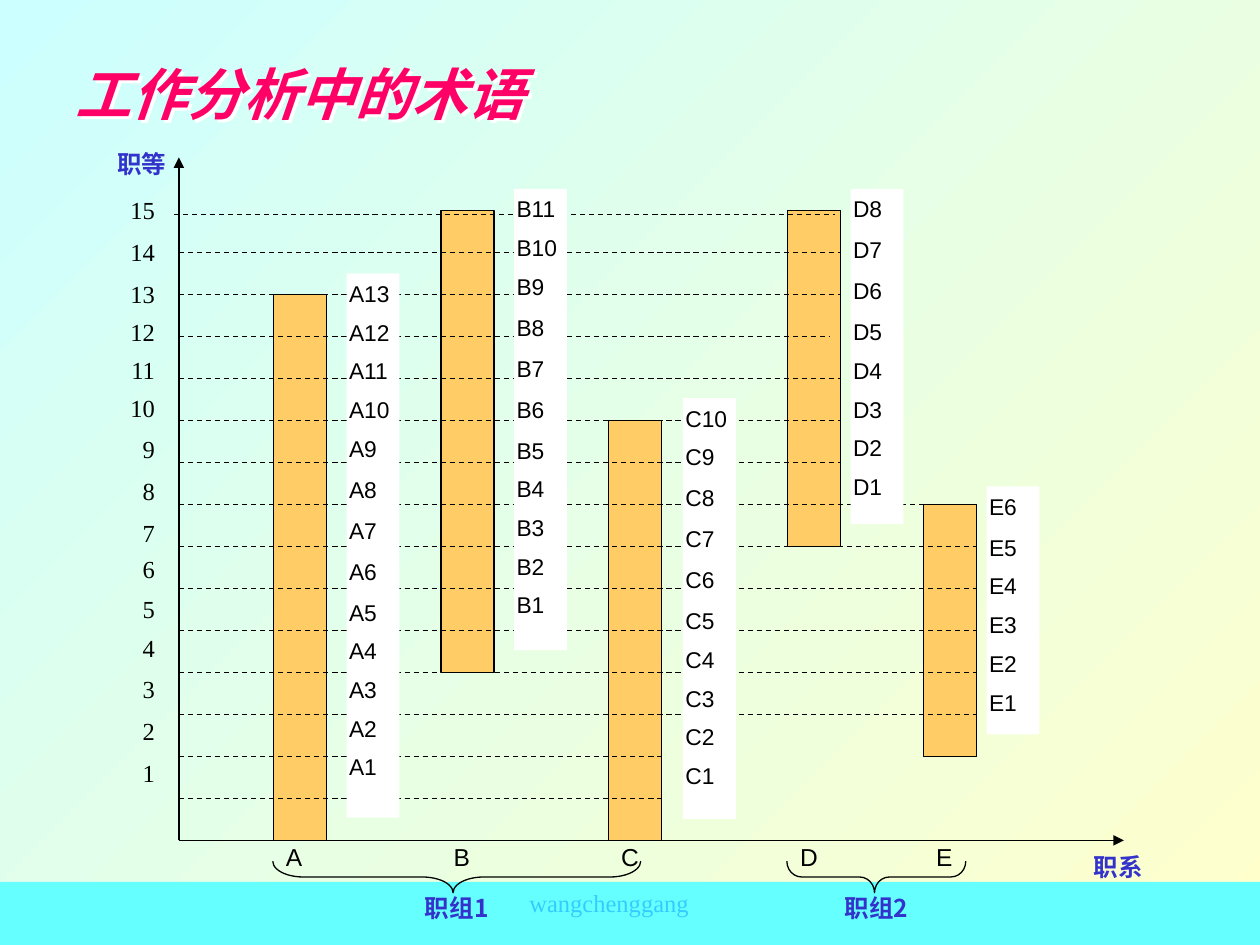
import pptx
import pptx.util
import pptx.dml.color
import pptx.enum.dml
import pptx.enum.shapes
import pptx.enum.text
import pptx.oxml
import pptx.oxml.ns

Inches = pptx.util.Inches
SHAPE = pptx.enum.shapes.MSO_SHAPE
ALIGN = pptx.enum.text.PP_ALIGN
qn = pptx.oxml.ns.qn
NS = 'xmlns:a="http://schemas.openxmlformats.org/drawingml/2006/main"'
CJK = "Noto Sans CJK SC"
BASE, STEP = 6.67, 1 / 3
AXIS = 1.42
BAR = 0.42

# name, bar left, low and high grade, label left, label top and height,
# range of labels with wider spacing
SERIES = [
    ("A", 2.17, 0, 13, 2.75, 2.17, 4.32, range(5, 9)),
    ("B", 3.5, 4, 15, 4.08, 1.5, 3.66, range(3, 7)),
    ("C", 4.83, 0, 10, 5.42, 3.16, 3.34, range(2, 6)),
    ("D", 6.25, 7, 15, 6.75, 1.5, 2.66, range(1, 4)),
    ("E", 7.33, 2, 8, 7.83, 3.86, 1.97, range(0, 2)),
]
COUNTS = {"A": 13, "B": 11, "C": 10, "D": 8, "E": 6}
GAPS = [50, 50, 50, 35, 35, 35, 50, 50, 50, 30, 40, 40, 50, 50, 50]


def color(code):
    return pptx.dml.color.RGBColor.from_string(code)


def xml(text):
    return pptx.oxml.parse_xml(text)


def height(grade):
    return BASE - grade * STEP


def stroke(line):
    line.color.rgb = color("000000")
    line.width = pptx.util.Pt(0.75)


def shape(slide, kind, box, fill=None, edge=True):
    item = slide.shapes.add_shape(kind, *map(Inches, box))
    item.shadow.inherit = False
    if fill:
        item.fill.solid()
        item.fill.fore_color.rgb = color(fill)
    else:
        item.fill.background()
    if edge:
        stroke(item.line)
    else:
        item.line.fill.background()
    return item


def line(slide, start, end, dash=False, arrow=False):
    kind = pptx.enum.shapes.MSO_CONNECTOR.STRAIGHT
    item = slide.shapes.add_connector(kind, *map(Inches, start + end))
    stroke(item.line)
    if dash:
        item.line.dash_style = pptx.enum.dml.MSO_LINE.DASH
    props = item.element.spPr
    if arrow:
        props.find(qn("a:ln")).append(xml(f'<a:tailEnd {NS} type="triangle"/>'))
    props.append(xml(f"<a:effectLst {NS}/>"))


def text(slide, box, rows, size, font, ink, align=ALIGN.LEFT, gaps=None,
         pad=(0.02, 0.01), bold=False, slant=False, fill=None, grow=True):
    item = slide.shapes.add_textbox(*map(Inches, box))
    frame = item.text_frame
    frame.word_wrap = True
    if grow:
        frame.auto_size = pptx.enum.text.MSO_AUTO_SIZE.SHAPE_TO_FIT_TEXT
    frame.margin_left = frame.margin_right = Inches(pad[0])
    frame.margin_top = frame.margin_bottom = Inches(pad[1])
    if fill:
        item.fill.solid()
        item.fill.fore_color.rgb = color(fill)
    frame.text = "\n".join(rows)
    for para, gap in zip(frame.paragraphs, gaps or [50] * len(rows)):
        para.alignment = align
        # Spacing as a share of the text size
        para._p.get_or_add_pPr().append(xml(
            f'<a:spcBef {NS}><a:spcPct val="{gap * 1000}"/></a:spcBef>'))
        for run in para.runs:
            face = run.font
            face.size, face.name = pptx.util.Pt(size), font
            face.bold, face.italic = bold, slant
            face.color.rgb = color(ink)
            run._r.get_or_add_rPr().append(
                xml(f'<a:ea {NS} typeface="{font}"/>'))
    return item


def title(slide):
    item = text(slide, (0.5, 0.42, 4.17, 0.63), ["工作分析中的术语"], 32, CJK,
                "FF0066", pad=(0.1, 0.05), bold=True, slant=True)
    item.element.spPr.append(xml(
        f'<a:effectLst {NS}><a:outerShdw dist="35921" dir="2700000">'
        '<a:srgbClr val="FFFFFF"/></a:outerShdw></a:effectLst>'))


def grid(slide):
    line(slide, (AXIS, BASE), (8.92, BASE), arrow=True)
    line(slide, (AXIS, BASE), (AXIS, 1.25), arrow=True)
    for grade in range(1, 15):
        end = 5.25 if grade < 3 else 7.75 if grade < 9 else 6.67
        if grade == 12:
            end = 6.58
        y = height(grade)
        line(slide, (AXIS, y), (end, y), dash=True)
    line(slide, (1.38, 1.7), (6.63, 1.7), dash=True)
    text(slide, (0.83, 1.5, 0.42, 5.02), [str(n) for n in range(15, 0, -1)],
         14, "Times New Roman", "000000", ALIGN.RIGHT, GAPS, (0.02, 0.05))


def labels(slide):
    for name, left, low, high, x, top, tall, wide in SERIES:
        count = COUNTS[name]
        text(slide, (x, top, BAR, tall),
             [f"{name}{n}" for n in range(count, 0, -1)], 13, "Arial", "000000",
             gaps=[60 if n in wide else 50 for n in range(count)],
             pad=(0.02, 0.05), fill="FFFFFF")
        text(slide, (left + 0.08, BASE, 0.33, 0.26), [name], 14, "Arial",
             "000000")


def groups(slide):
    for box, bend in (((3.5, 5.5, 0.25, 2.92), 0.97),
                      ((6.83, 6.25, 0.25, 1.42), 0.47)):
        brace = shape(slide, SHAPE.LEFT_BRACE, box)
        brace.rotation = 270
        brace.adjustments[0] = bend
        brace.adjustments[1] = 0.49
    for word, x, y, wide in (("职组1", 3, 7.08, 1.25), ("职组2", 6.33, 7.08, 1.25),
                             ("职系", 8.25, 6.75, 1.25), ("职等", 0.75, 1.17, 0.75)):
        text(slide, (x, y, wide, 0.26), [word], 14, CJK, "3333CC",
             ALIGN.CENTER, pad=(0.1, 0.01), bold=True)


def main():
    deck = pptx.Presentation()
    deck.slide_width, deck.slide_height = Inches(10), Inches(7.5)
    slide = deck.slides.add_slide(deck.slide_layouts[6])

    # Background and footer
    back = slide.background.fill
    back.gradient()
    back.gradient_angle = 315
    for stop, code in zip(back.gradient_stops, ("CCFFFF", "FFFFCC")):
        stop.color.rgb = color(code)
    shape(slide, SHAPE.RECTANGLE, (0, 7, 10, 0.5), "66FFFF", edge=False)
    text(slide, (3.25, 7, 3.17, 0.33), ["wangchenggang"], 14, "Times New Roman",
         "33CCFF", ALIGN.CENTER, [0], (0.1, 0.05), grow=False)

    # Bars lie under the dashed grid, labels over it
    for name, left, low, high, *rest in SERIES:
        shape(slide, SHAPE.RECTANGLE,
              (left, height(high), BAR, (high - low) * STEP), "FFCC66")
    title(slide)
    grid(slide)
    labels(slide)
    groups(slide)
    deck.save("out.pptx")


if __name__ == "__main__":
    main()
